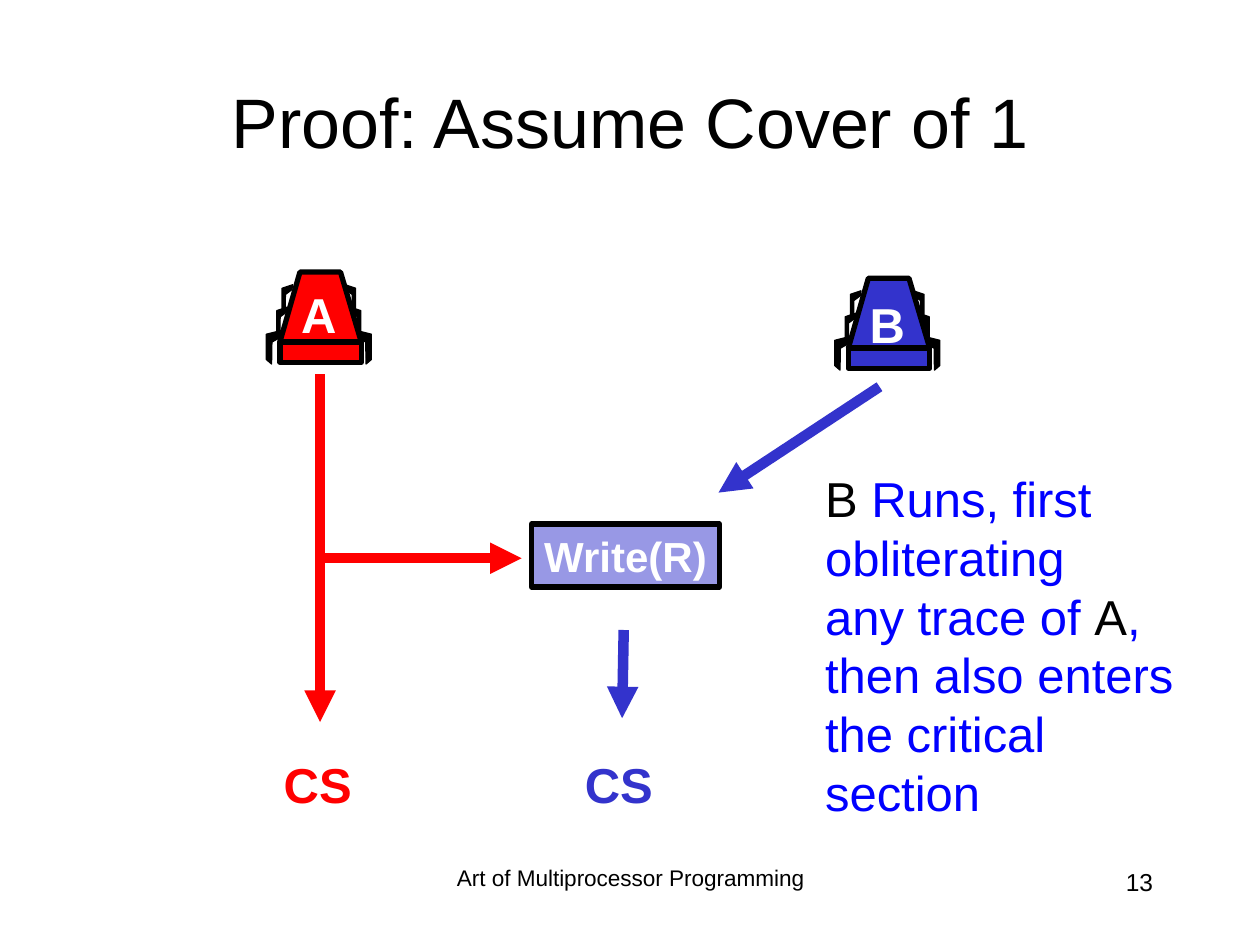
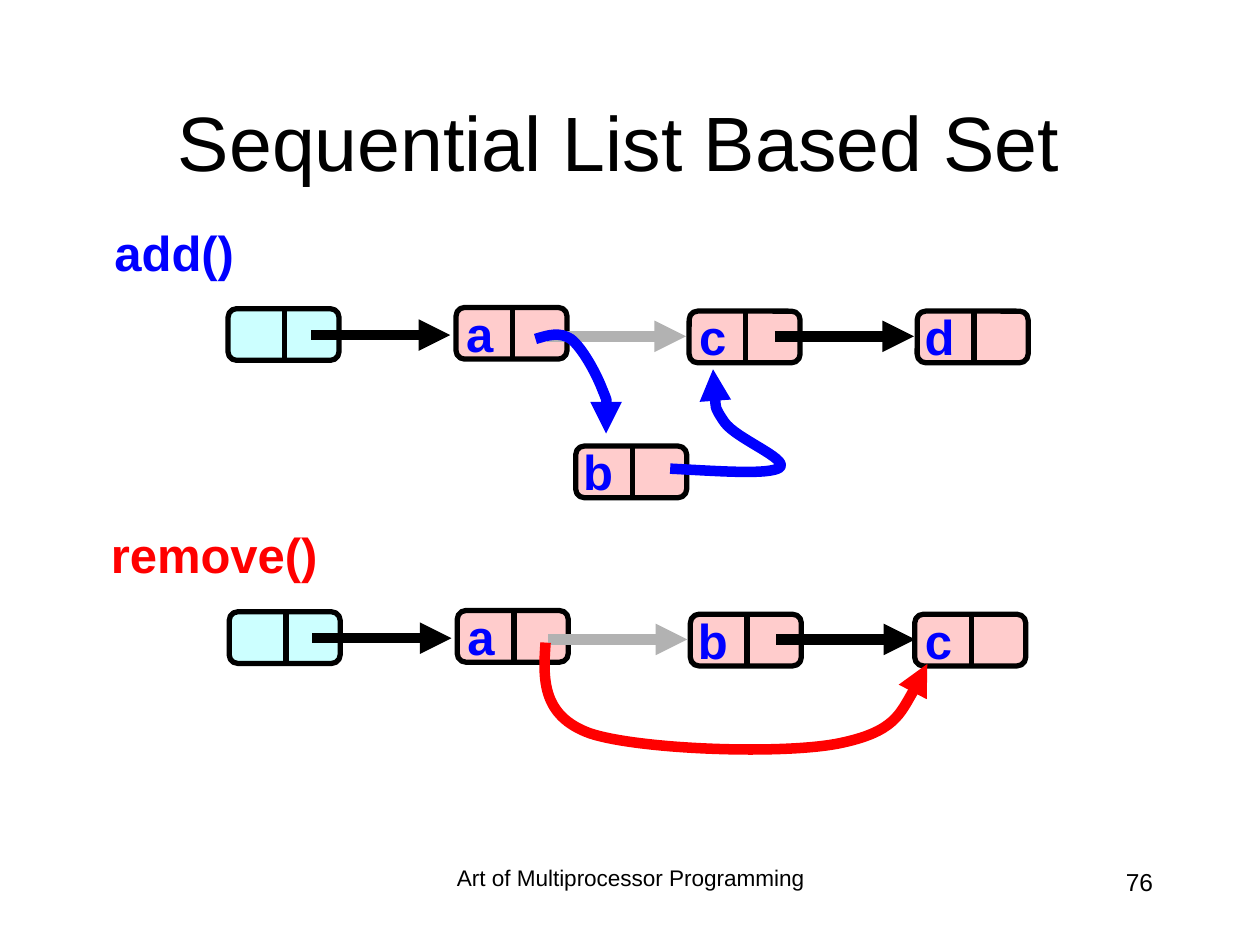
from lxml.etree import SubElement
from pptx import Presentation
from pptx.dml.color import RGBColor
from pptx.enum.shapes import MSO_CONNECTOR as Connector, MSO_SHAPE as Shape
from pptx.enum.text import MSO_ANCHOR as Anchor, PP_ALIGN as Align
from pptx.oxml.ns import qn
from pptx.util import Pt

COLOURS = {
    "black": "000000", "white": "FFFFFF", "red": "FF0000", "indigo": "3333CC",
    "blue": "0000FF", "grey": "B2B2B2", "aqua": "CCFFFF", "pink": "FFCCCC",
}
FONT = "Arial"
LEG_OUTLINE = [(0, 0), (1, 0.13), (1, 0.87), (0.7, 1), (0.68, 0.36), (0.06, 0.18)]
LEGS = [
    {"left": 51, "top": 33, "width": 10, "height": 19.5},
    {"left": 49, "top": 20, "width": 6, "height": 15.5},
    {"left": 46, "top": 7.2, "width": 6, "height": 15.5},
]
LEG_MIRROR = 62
NODE_WIDTH, NODE_HEIGHT = 63.4, 29.5
LINK_LENGTH = 79.5


def rgb(name):
    """Return the named colour."""
    return RGBColor.from_string(COLOURS[name])


def points(*lengths):
    """Turn numbers into point lengths."""
    return [Pt(length) for length in lengths]


def format_font(font, size, colour, bold=False):
    """Apply the shared typeface and the given format."""
    for key, value in {"name": FONT, "size": Pt(size), "bold": bold}.items():
        setattr(font, key, value)
    font.color.rgb = rgb(colour)


def paint(shape, fill, outline, weight):
    """Set fill and outline, and drop the shadow."""
    shape.shadow.inherit = False
    if fill:
        shape.fill.solid()
        shape.fill.fore_color.rgb = rgb(fill)
    else:
        shape.fill.background()
    shape.line.color.rgb = rgb(outline)
    shape.line.width = Pt(weight)


def point_head(stroke):
    """Put a triangle at the end of a line."""
    SubElement(stroke.element.spPr.find(qn("a:ln")), qn("a:tailEnd"), type="triangle")


def add_line(slide, start, end, colour="black", weight=6, head=True):
    """Draw a straight line, by default an arrow."""
    line = slide.shapes.add_connector(Connector.STRAIGHT, *points(*start, *end))
    line.line.color.rgb = rgb(colour)
    line.line.width = Pt(weight)
    if head:
        point_head(line)
    SubElement(line.element.spPr, qn("a:effectLst"))


def add_outline(shapes, corners, closed=True):
    """Build a freeform through the corners."""
    builder = shapes.build_freeform(*points(*corners[0]))
    builder.add_line_segments([points(*corner) for corner in corners[1:]], close=closed)
    return builder.convert_to_shape()


def add_curve(slide, origin, knots, colour):
    """Draw a curved arrow; after the first knot, each three make one Bezier."""
    x, y = origin
    curve = add_outline(slide.shapes, [(x + dx, y + dy) for dx, dy in knots], False)
    paint(curve, None, colour, 6)
    point_head(curve)
    track = next(curve.element.iter(qn("a:path")))
    steps = track.findall(qn("a:lnTo"))
    for first in range(0, len(steps), 3):
        bezier = SubElement(track, qn("a:cubicBezTo"))
        for step in steps[first:first + 3]:
            bezier.append(step[0])
            track.remove(step)


def add_text(shapes, box, lines, size, colour="black", bold=False,
             align=Align.LEFT, wrap=False, spacing=None):
    """Write lines, each a list of (text, colour or None) runs."""
    frame = shapes.add_textbox(*points(*box)).text_frame
    frame.word_wrap = wrap
    for index, line in enumerate(lines):
        paragraph = frame.add_paragraph() if index else frame.paragraphs[0]
        paragraph.alignment = align
        paragraph.line_spacing = spacing
        for text, run_colour in line:
            run = paragraph.add_run()
            run.text = text
            format_font(run.font, size, run_colour or colour, bold)


def add_label(shapes, box, text, colour, align=Align.LEFT):
    """Write a bold one-line label."""
    add_text(shapes, box, [[(text, None)]], 28, colour, True, align)


def add_page(deck, heading, heading_top, heading_size, number):
    """Start a slide with its title and footer."""
    slide = deck.slides.add_slide(deck.slide_layouts[5])
    title = slide.shapes.title
    box = dict(zip(("left", "top", "width", "height"), points(54, heading_top, 612, 90)))
    for key, value in box.items():
        setattr(title, key, value)
    title.text_frame.text = heading
    title.text_frame.vertical_anchor = Anchor.MIDDLE
    paragraph = title.text_frame.paragraphs[0]
    paragraph.alignment = Align.CENTER
    format_font(paragraph.runs[0].font, heading_size, "black")
    add_text(slide.shapes, (246.2, 491.8, 228.2, 36),
             [[("Art of Multiprocessor Programming", None)]], 12.9,
             align=Align.CENTER, wrap=True, spacing=0.9)
    add_text(slide.shapes, (516.2, 491.8, 149.8, 36), [[(number, None)]], 14,
             align=Align.RIGHT, wrap=True)
    return slide


def add_thread(slide, left, top, name, colour, name_top):
    """Draw a six-legged thread with its name."""
    shapes = slide.shapes.add_group_shape().shapes
    for leg in LEGS:
        corners = [(leg["left"] + fx * leg["width"], leg["top"] + fy * leg["height"])
                   for fx, fy in LEG_OUTLINE]
        mirrored = [(LEG_MIRROR - x, y) for x, y in corners]
        for side in (corners, mirrored):
            paint(add_outline(shapes, [(left + x, top + y) for x, y in side]),
                  "black", "black", 0.75)
    trapezoid = [(8.8, 39.8), (20.2, 0), (43.4, 0), (55.2, 39.8)]
    hull = add_outline(shapes, [(left + x, top + y) for x, y in trapezoid])
    base = shapes.add_shape(Shape.RECTANGLE, *points(left + 8.8, top + 40, 46.5, 11.5))
    for part in (hull, base):
        paint(part, colour, "black", 3)
    add_label(shapes, (left + 13.7, top + name_top, 34.6, 41), name, "white", Align.CENTER)


def add_write_box(slide, left, top, width, height):
    """Draw the half-transparent register write."""
    write = slide.shapes.add_shape(Shape.RECTANGLE, *points(left, top, width, height))
    paint(write, "indigo", "black", 3)
    tint = write.element.spPr.find(qn("a:solidFill"))[0]
    SubElement(tint, qn("a:alpha"), val="50000")
    write.text_frame.word_wrap = False
    write.text_frame.text = "Write(R)"
    paragraph = write.text_frame.paragraphs[0]
    paragraph.alignment = Align.CENTER
    format_font(paragraph.runs[0].font, 24, "white", True)


def add_node(slide, left, top, value):
    """Draw a list node; one without a value is the head."""
    node = slide.shapes.add_shape(Shape.ROUNDED_RECTANGLE,
                                  *points(left, top, NODE_WIDTH, NODE_HEIGHT))
    node.adjustments[0] = 0.167
    paint(node, "pink" if value else "aqua", "black", 3)
    divider = left + 32.4
    add_line(slide, (divider, top), (divider, top + NODE_HEIGHT), weight=3, head=False)
    if value:
        add_label(slide.shapes, (left - 3.6, top - 5.9, 32, 41), value, "blue", Align.RIGHT)


def add_list(slide, left, top, values, last_left):
    """Draw a linked list whose second link is greyed out."""
    places = [(0, 0), (130.3, -0.7), (263.5, 1.4), (last_left, 1.4)]
    for (x, y), value in zip(places, values):
        add_node(slide, left + x, top + y, value)
    links = [(47.5, 15.1, "black"), (312.5, 15.8, "black"), (182.2, 15.8, "grey")]
    for x, y, colour in links:
        add_line(slide, (left + x, top + y), (left + x + LINK_LENGTH, top + y), colour)


def build_cover_proof(deck):
    """Build the slide on the cover of one."""
    slide = add_page(deck, "Proof: Assume Cover of 1", 23.8, 40, "13")
    add_thread(slide, 151.2, 155.5, "A", "red", 3.6)
    add_thread(slide, 476, 159, "B", "indigo", 5.9)
    add_write_box(slide, 303.8, 299.5, 107.3, 36)
    arrows = [
        ((182.9, 213.8), (182.9, 412.6), "red"),
        ((182.9, 319), (298.1, 319), "red"),
        ((502.6, 221), (410.6, 281.5), "indigo"),
        ((356.4, 360), (355.5, 410.4), "indigo"),
    ]
    for start, end, colour in arrows:
        add_line(slide, start, end, colour)
    for left, colour in ((154.8, "red"), (326.9, "indigo")):
        add_label(slide.shapes, (left, 427.7, 53.3, 41), "CS", colour, Align.RIGHT)
    story = [
        [("B", "black"), (" Runs, first obliterating", None)],
        [("any trace of ", None), ("A", "black"), (",", None)],
        [("then also enters", None)],
        [("the critical", None)],
        [("section", None)],
    ]
    add_text(slide.shapes, (464.4, 264.2, 240, 208.8), story, 28, "blue", wrap=True)


def build_list_set(deck):
    """Build the slide on adding to and removing from a list."""
    slide = add_page(deck, "Sequential List Based Set ", 35.3, 44, "76")
    add_left, add_top = 130.3, 176.4
    remove_left, remove_top = 131, 349.6
    add_list(slide, add_left, add_top, ["", "a", "c", "d"], 393.8)
    add_node(slide, add_left + 198.7, add_top + 78.5, "b")
    add_list(slide, remove_left, remove_top, ["", "a", "b", "c"], 391.7)
    b_to_c = [(252.7, 91.4), (281.5, 92.9), (309.6, 95), (315.4, 90.7), (320.4, 85.7),
              (290.2, 74.2), (283.7, 64.8), (277.2, 55.4), (277.2, 44.6), (277.2, 34.6)]
    a_to_b = [(175.7, 17.3), (182.9, 15.1), (189.4, 13), (195.9, 17.3), (202.4, 22.3),
              (210.3, 36.7), (213.9, 46.1), (217.5, 54.7), (216.8, 62.6), (216, 71.3)]
    a_to_c = [(180.8, 17.6), (179.3, 38.5), (178.6, 59.4), (206, 69.4), (234, 78.8),
              (316.1, 81.7), (348.5, 75.2), (380.2, 68.7), (389.5, 49.3), (398.9, 29.8)]
    for knots in (b_to_c, a_to_b):
        add_curve(slide, (add_left, add_top), knots, "blue")
    add_curve(slide, (remove_left, remove_top), a_to_c, "red")
    add_label(slide.shapes, (58.3, 123.8, 90, 41), "add()", "blue")
    add_label(slide.shapes, (56.2, 295.9, 140.4, 41), "remove()", "red")


def main():
    """Build and save the deck."""
    deck = Presentation()
    deck.slide_width, deck.slide_height = points(720, 540)
    build_cover_proof(deck)
    build_list_set(deck)
    deck.save("out.pptx")


if __name__ == "__main__":
    main()
